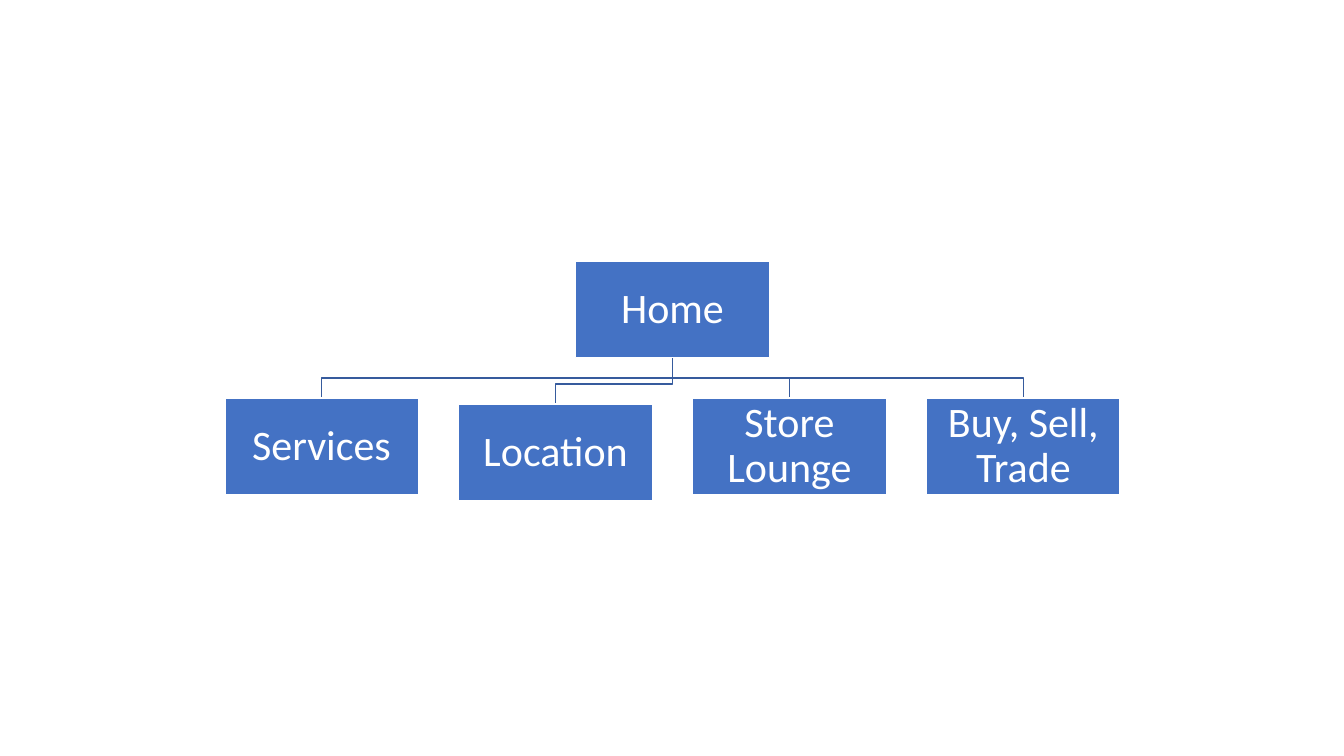
from pptx import Presentation
from pptx.dml.color import RGBColor
from pptx.enum.shapes import MSO_SHAPE
from pptx.enum.text import MSO_ANCHOR, PP_ALIGN
from pptx.util import Pt

PX = 9144
SLIDE_WIDTH, SLIDE_HEIGHT = 1333, 750
PAGE_WIDTH, PAGE_HEIGHT = 192, 96
HOME_LEFT, HOME_TOP = 571, 259
PAGES_LEFT, PAGES_TOP, PAGE_STEP = 223, 395, 232
BEND_RISE = 20
PAGES = [("Services", 0), ("Location", 6), ("Store Lounge", 0), ("Buy, Sell, Trade", 0)]


def px(length):
    return length * PX


def color(hex_string):
    return RGBColor.from_string(hex_string)


def apply(target, values):
    for name, value in values.items():
        setattr(target, name, value)


class SiteMap:
    FILL, BORDER, BRANCH, TEXT = "4472C4", "FFFFFF", "365B9D", "FFFFFF"
    LINE_WIDTH = Pt(1)
    FRAME = {
        "word_wrap": True,
        "vertical_anchor": MSO_ANCHOR.MIDDLE,
        "margin_left": px(2),
        "margin_right": px(2),
        "margin_top": px(2),
        "margin_bottom": px(2),
    }
    PARAGRAPH = {"alignment": PP_ALIGN.CENTER, "line_spacing": 0.9}
    FONT = {"name": "Calibri", "size": Pt(30)}

    def __init__(self, slide):
        self.shapes = slide.shapes

    def outline(self, shape, hex_string):
        shape.shadow.inherit = False
        shape.line.color.rgb = color(hex_string)
        shape.line.width = self.LINE_WIDTH

    def branch(self, start, end):
        (start_x, start_y), (end_x, end_y) = start, end
        bend_y = end_y - BEND_RISE
        route = self.shapes.build_freeform(start_x, start_y, scale=PX)
        route.add_line_segments([(start_x, bend_y), (end_x, bend_y), end], close=False)
        branch = route.convert_to_shape()
        branch.fill.background()
        self.outline(branch, self.BRANCH)

    def page(self, label, left, top):
        page = self.shapes.add_shape(
            MSO_SHAPE.RECTANGLE, px(left), px(top), px(PAGE_WIDTH), px(PAGE_HEIGHT)
        )
        page.fill.solid()
        page.fill.fore_color.rgb = color(self.FILL)
        self.outline(page, self.BORDER)
        apply(page.text_frame, self.FRAME)
        paragraph = page.text_frame.paragraphs[0]
        apply(paragraph, self.PARAGRAPH)
        run = paragraph.add_run()
        run.text = label
        apply(run.font, self.FONT)
        run.font.color.rgb = color(self.TEXT)


def main():
    presentation = Presentation()
    apply(presentation, {"slide_width": px(SLIDE_WIDTH), "slide_height": px(SLIDE_HEIGHT)})
    site_map = SiteMap(presentation.slides.add_slide(presentation.slide_layouts[6]))

    pages = [
        (label, PAGES_LEFT + index * PAGE_STEP, PAGES_TOP + drop)
        for index, (label, drop) in enumerate(PAGES)
    ]
    home_exit = (HOME_LEFT + PAGE_WIDTH // 2, HOME_TOP + PAGE_HEIGHT)
    for _, left, top in reversed(pages):
        site_map.branch(home_exit, (left + PAGE_WIDTH // 2, top))
    for label, left, top in [("Home", HOME_LEFT, HOME_TOP), *pages]:
        site_map.page(label, left, top)

    presentation.save("out.pptx")


if __name__ == "__main__":
    main()
